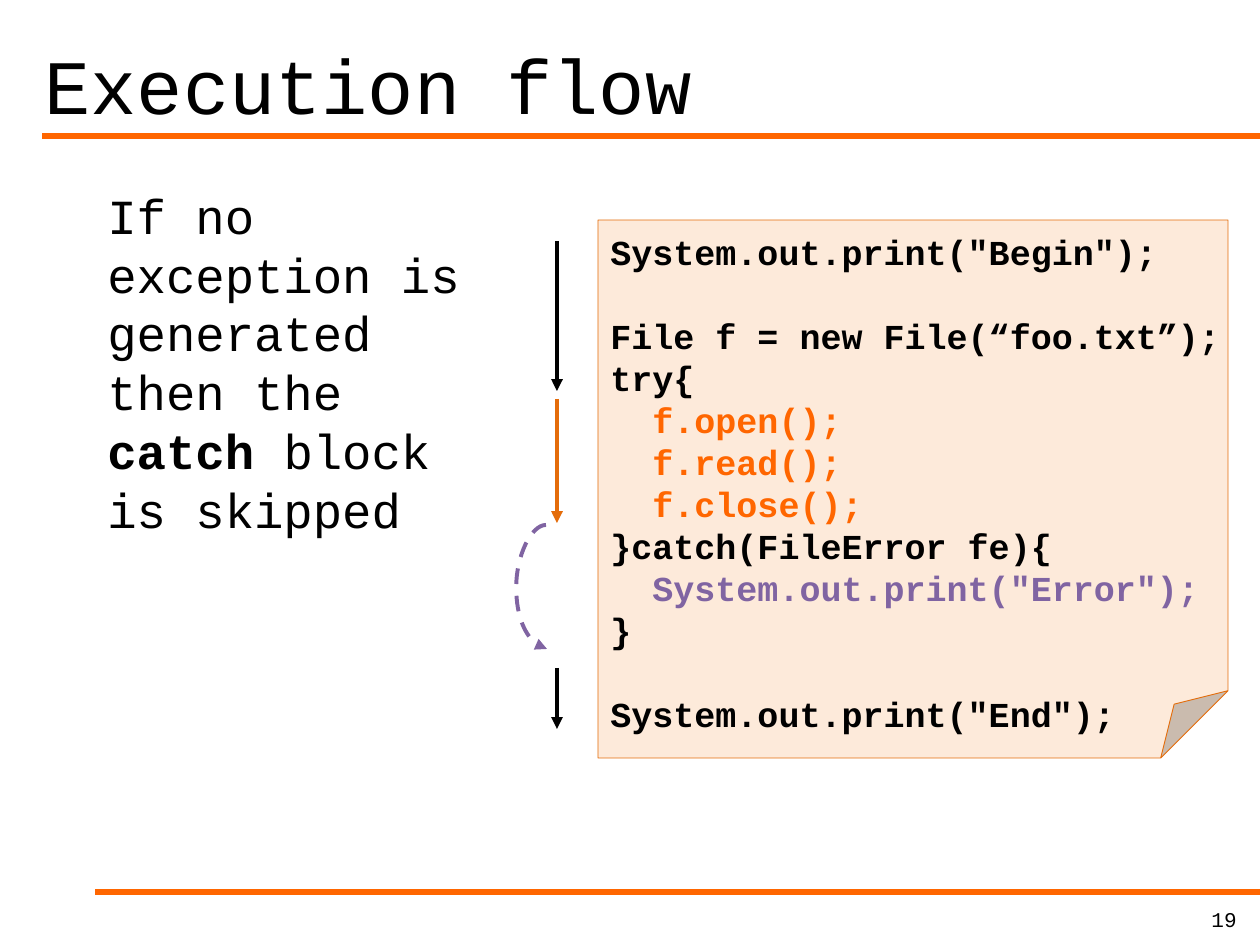
"""Build the slide on the execution flow when no exception is generated."""
from lxml import etree
from pptx import Presentation
from pptx.dml.color import RGBColor
from pptx.enum.dml import MSO_LINE
from pptx.enum.shapes import MSO_CONNECTOR, MSO_SHAPE
from pptx.enum.text import MSO_ANCHOR, MSO_AUTO_SIZE, PP_ALIGN
from pptx.oxml.ns import qn
from pptx.util import Emu, Pt

BLACK = RGBColor(0x00, 0x00, 0x00)
ORANGE = RGBColor(0xFF, 0x66, 0x00)
DARK_ORANGE = RGBColor(0xE4, 0x6C, 0x0A)
PURPLE = RGBColor(0x80, 0x64, 0xA2)
PEACH = RGBColor(0xFD, 0xEA, 0xDA)

STRAIGHT, CURVE = MSO_CONNECTOR.STRAIGHT, MSO_CONNECTOR.CURVE
FOLDED_CORNER = MSO_SHAPE.FOLDED_CORNER
DASH = MSO_LINE.DASH
TOP, BOTTOM = MSO_ANCHOR.TOP, MSO_ANCHOR.BOTTOM
LEFT, RIGHT = PP_ALIGN.LEFT, PP_ALIGN.RIGHT
NO_AUTOFIT = MSO_AUTO_SIZE.NONE

PX_PER_INCH = 126
TITLE_ONLY = 5
ARROW_X = 557

CODE = [
    ('System.out.print("Begin");', BLACK),
    ("", BLACK),
    ("File f = new File(“foo.txt”);", BLACK),
    ("try{", BLACK),
    ("  f.open();", ORANGE),
    ("  f.read();", ORANGE),
    ("  f.close();", ORANGE),
    ("}catch(FileError fe){", BLACK),
    ('  System.out.print("Error");', PURPLE),
    ("}", BLACK),
    ("", BLACK),
    ('System.out.print("End");', BLACK),
]
FLOW_ARROWS = [(241, 391, BLACK), (399, 523, DARK_ORANGE), (668, 729, BLACK)]


def px(length):
    """Turn a length in px into EMU."""
    return Emu(round(length * 914400 / PX_PER_INCH))


class SlideBuilder:
    """Hold the font and the current slide, and add each kind of element."""

    font_name = "Courier New"

    def __init__(self, presentation):
        """Add a title-only slide."""
        self.slide = presentation.slides.add_slide(presentation.slide_layouts[TITLE_ONLY])

    def style(self, paragraph, size, color=BLACK, bold=False, align=LEFT):
        """Format a whole paragraph."""
        paragraph.alignment = align
        font = paragraph.font
        font.name, font.size, font.bold = self.font_name, Pt(size), bold
        font.color.rgb = color

    def adjust(self, shape, name, ratio):
        """Set a geometry guide of a shape or connector."""
        guides = shape._element.spPr.find(qn("a:prstGeom")).find(qn("a:avLst"))
        etree.SubElement(guides, qn("a:gd"), name=name, fmla=f"val {round(ratio * 100000)}")

    def title(self, box, text, size):
        """Place and format the title placeholder."""
        title = self.slide.shapes.title
        title.left, title.top, title.width, title.height = map(px, box)
        frame = title.text_frame
        frame.text = text
        frame.auto_size = NO_AUTOFIT
        frame.vertical_anchor = BOTTOM
        self.style(frame.paragraphs[0], size)

    def text(self, box, runs, size, align=LEFT):
        """Add a text box of one paragraph from (text, bold) runs."""
        frame = self.slide.shapes.add_textbox(*map(px, box)).text_frame
        frame.word_wrap = True
        paragraph = frame.paragraphs[0]
        self.style(paragraph, size, align=align)
        for text, bold in runs:
            run = paragraph.add_run()
            run.text = text
            if bold:
                run.font.bold = True

    def line(self, start, end, color, width, kind=STRAIGHT):
        """Add a connector without a shadow."""
        connector = self.slide.shapes.add_connector(kind, *map(px, start + end))
        connector.line.color.rgb = color
        connector.line.width = Pt(width)
        etree.SubElement(connector._element.spPr, qn("a:effectLst"))
        return connector

    def arrow(self, start, end, color, kind=STRAIGHT):
        """Add a connector with a triangle at its end."""
        connector = self.line(start, end, color, 2.25, kind)
        if kind == CURVE:
            connector.line.dash_style = DASH
        etree.SubElement(connector.line._get_or_add_ln(), qn("a:tailEnd"), type="triangle")
        return connector

    def skip_arrow(self, start, end, bulge, color):
        """Add a dashed curve that bulges sideways by a number of px."""
        connector = self.arrow(start, end, color, CURVE)
        self.adjust(connector, "adj1", bulge / (end[0] - start[0]))

    def code_note(self, box, lines, size):
        """Add a folded note with one paragraph for each code line."""
        note = self.slide.shapes.add_shape(FOLDED_CORNER, *map(px, box))
        note.shadow.inherit = False
        self.adjust(note, "adj", 0.125)
        note.fill.solid()
        note.fill.fore_color.rgb = PEACH
        note.line.color.rgb = DARK_ORANGE
        note.line.width = Pt(0.5)
        frame = note.text_frame
        frame.word_wrap = False
        frame.vertical_anchor = TOP
        frame.margin_top = frame.margin_bottom = px(10)
        frame.text = "\n".join(text for text, _ in lines)
        for paragraph, (_, color) in zip(frame.paragraphs, lines):
            self.style(paragraph, size, color, bold=True)


def main():
    """Build and save the presentation."""
    presentation = Presentation()
    presentation.slide_width, presentation.slide_height = px(1260), px(945)
    builder = SlideBuilder(presentation)

    for left, y in ((42, 136), (95, 892)):
        builder.line((1260, y), (left, y), ORANGE, 3)
    builder.text((987, 900, 262, 32), [("19", False)], 12, RIGHT)
    builder.title((32, 0, 1187, 136), "Execution flow", 44)
    message = [
        ("If no exception is generated then the ", False),
        ("catch ", True),
        ("block is skipped", False),
    ]
    builder.text((95, 179, 396, 651), message, 28)

    for top, bottom, color in FLOW_ARROWS:
        builder.arrow((ARROW_X, top), (ARROW_X, bottom), color)
    builder.skip_arrow((546, 525), (547, 649), -30, PURPLE)
    builder.code_note((598, 220, 630, 538), CODE, 20)

    presentation.save("out.pptx")


if __name__ == "__main__":
    main()
